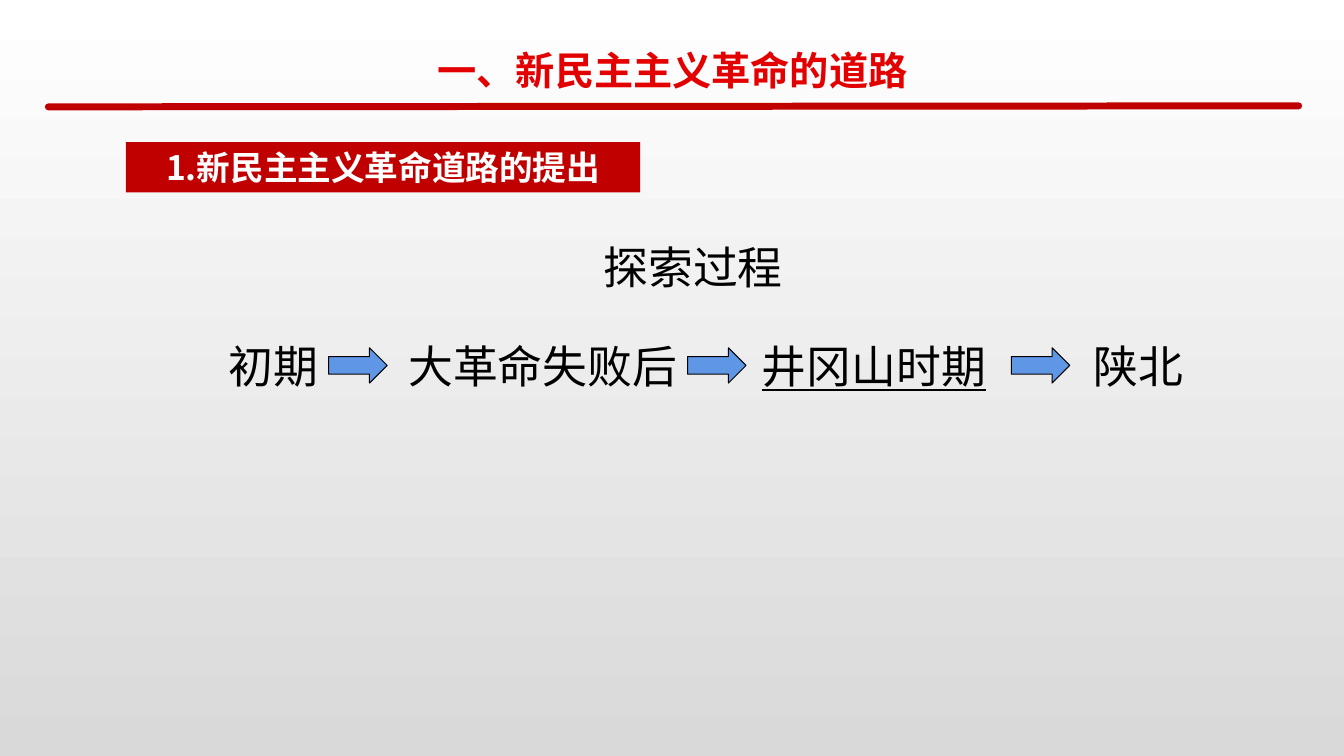
from lxml.etree import SubElement
from pptx import Presentation
from pptx.dml.color import RGBColor
from pptx.enum.shapes import MSO_CONNECTOR, MSO_SHAPE
from pptx.enum.text import MSO_ANCHOR, MSO_AUTO_SIZE, PP_ALIGN
from pptx.oxml.ns import qn
from pptx.util import Inches, Pt

COLORS = {
    "white": "FFFFFF",
    "gray": "D9D9D9",
    "title": "E30000",
    "red": "C00000",
    "blue": "6096E6",
    "black": "000000",
}


def color(name):
    return RGBColor.from_string(COLORS[name])


def write(box, text, shade, wrap=True, anchor=MSO_ANCHOR.TOP, spacing=None, **formats):
    frame = box.text_frame
    frame.word_wrap = wrap
    frame.auto_size = MSO_AUTO_SIZE.NONE
    frame.vertical_anchor = anchor
    para = frame.paragraphs[0]
    para.alignment = PP_ALIGN.CENTER
    para.line_spacing = spacing
    span = para.add_run()
    span.text = text
    for key, value in formats.items():
        setattr(span.font, key, value)
    span.font.color.rgb = color(shade)
    east_asian = SubElement(span.font._element, qn("a:ea"))
    east_asian.set("typeface", "Noto Sans CJK SC")


deck = Presentation()
deck.slide_width, deck.slide_height = Inches(13.33), Inches(7.5)
page = deck.slides.add_slide(deck.slide_layouts[5])

backdrop = page.background.fill
backdrop.gradient()
backdrop.gradient_angle = 270
for stop, name, position in zip(backdrop.gradient_stops, ("white", "gray"), (0, 1)):
    stop.color.rgb = color(name)
    stop.position = position

rule = page.shapes.add_connector(
    MSO_CONNECTOR.STRAIGHT, Inches(0.48), Inches(1.06), Inches(12.88), Inches(1.05)
)
rule.line.color.rgb = color("red")
rule.line.width = Pt(5)
rule.line._get_or_add_ln().set("cap", "rnd")
SubElement(rule._element.spPr, qn("a:effectLst"))

heading = {"name": "Noto Sans CJK SC", "bold": True}
title = page.shapes.title
title.left, title.top = Inches(3.45), Inches(0.18)
title.width, title.height = Inches(6.44), Inches(0.81)
write(title, "一、新民主主义革命的道路", "title", spacing=1.5, size=Pt(28), **heading)

banner = page.shapes.add_shape(
    MSO_SHAPE.RECTANGLE, Inches(1.25), Inches(1.41), Inches(5.1), Inches(0.5)
)
banner.shadow.inherit = False
banner.fill.solid()
banner.fill.fore_color.rgb = color("red")
banner.line.fill.background()
write(banner, "1.新民主主义革命道路的提出", "white", anchor=MSO_ANCHOR.MIDDLE, size=Pt(24), **heading)

labels = [
    ("探索过程", 5.88, 2.33, 1.99, False),
    ("初期", 2.17, 3.31, 1.09, False),
    ("大革命失败后", 3.95, 3.31, 2.87, False),
    ("井冈山时期", 7.46, 3.31, 2.42, True),
    ("陕北", 10.75, 3.31, 1.09, False),
]
for text, left, top, width, underline in labels:
    box = page.shapes.add_textbox(Inches(left), Inches(top), Inches(width), Inches(0.64))
    write(box, text, "black", wrap=False, name="Arial", size=Pt(32), underline=underline)

for left in (3.26, 6.82, 10.03):
    arrow = page.shapes.add_shape(
        MSO_SHAPE.RIGHT_ARROW, Inches(left), Inches(3.45), Inches(0.58), Inches(0.35)
    )
    arrow.shadow.inherit = False
    arrow.fill.solid()
    arrow.fill.fore_color.rgb = color("blue")
    arrow.line.color.rgb = color("black")
    arrow.line.width = Pt(0.75)

deck.save("out.pptx")
